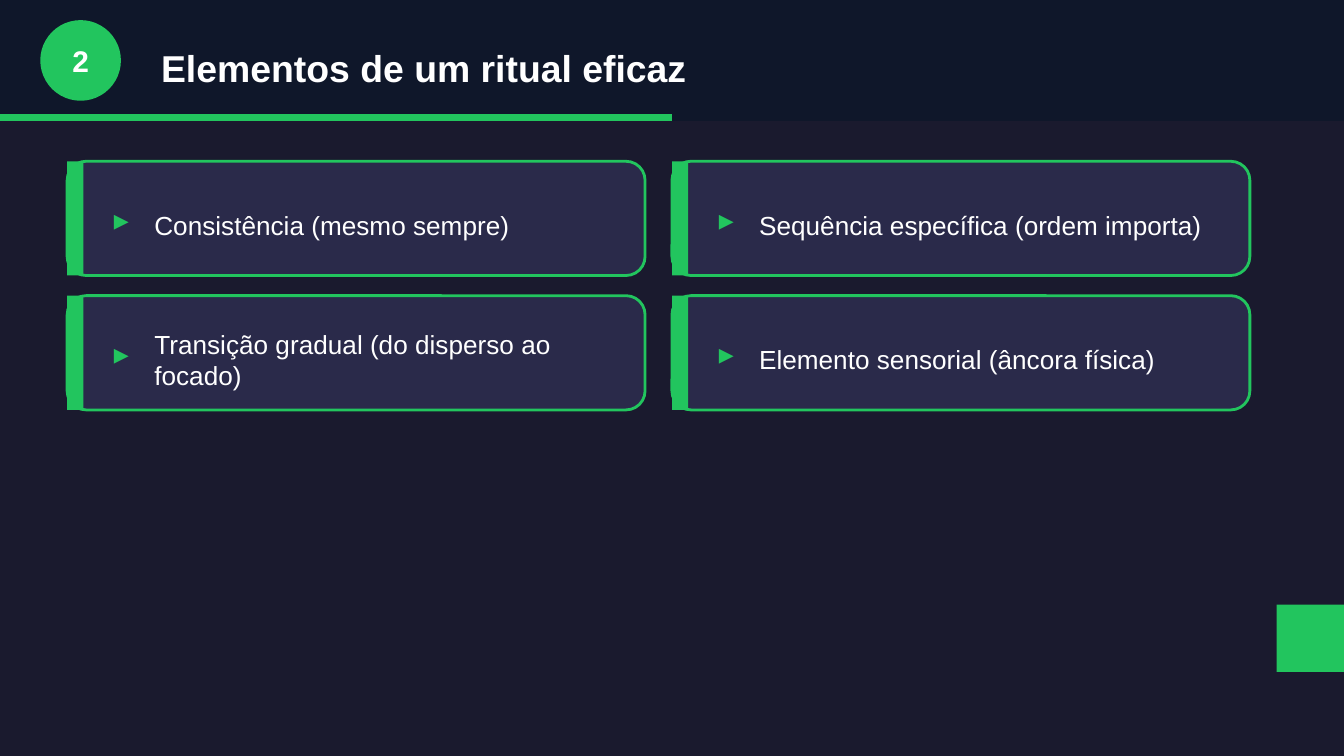
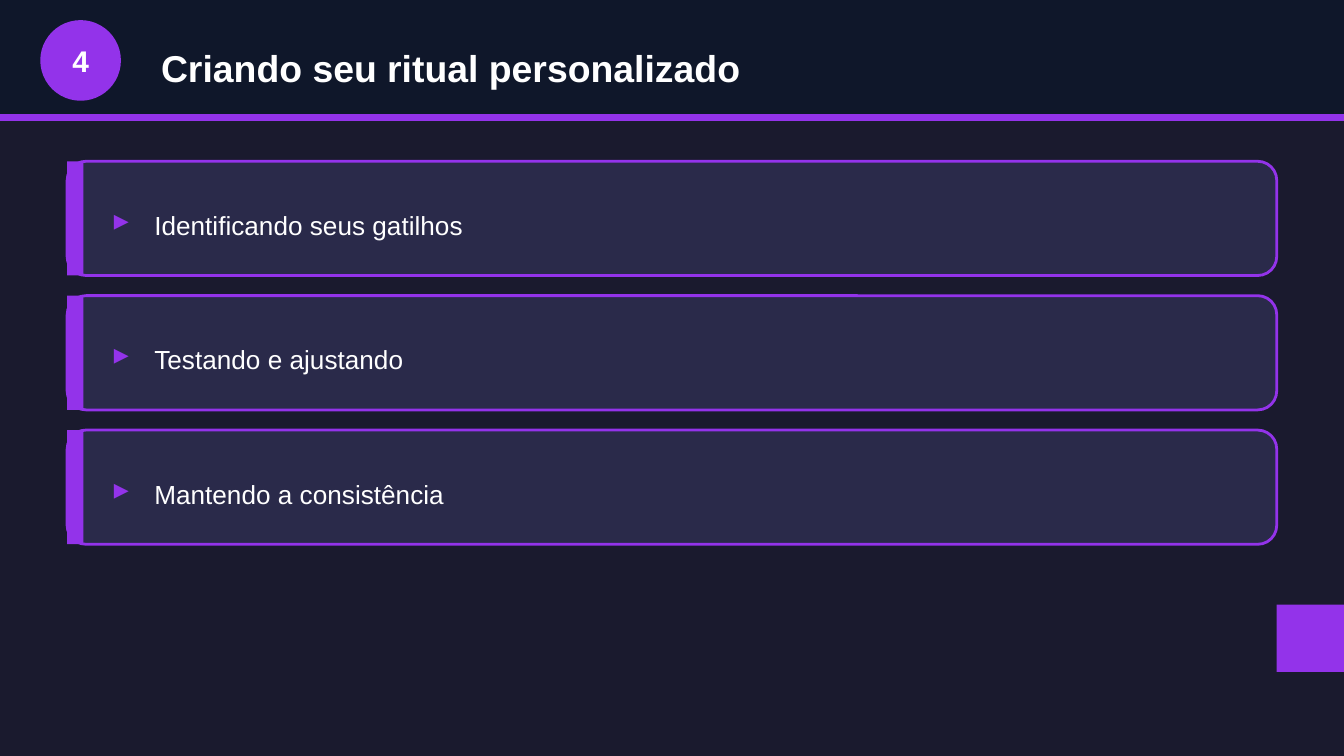
"""Build two dark lesson pages with a numbered header and a grid of topic cards."""
from dataclasses import dataclass

from pptx import Presentation, util as u
from pptx.dml import color
from pptx.enum import shapes, text
from pptx.slide import Slide

COLORS = {
    "page": "1A1A2E",
    "header": "0F172A",
    "card": "2A2A4A",
    "text": "FFFFFF",
    "green": "22C55E",
    "purple": "9333EA",
}
FORMATS = {
    "title": {"name": "Arial", "size": u.Pt(20), "bold": True},
    "marker": {"name": "Arial", "size": u.Pt(16), "bold": True},
    "topic": {"name": "Arial", "size": u.Pt(14), "bold": False},
}
KINDS = shapes.MSO_SHAPE
PAGE_WIDTH = 10
PAGE_HEIGHT = PAGE_WIDTH * 9 / 16
LESSON_COUNT = 4
CARD_LEFT, CARD_TOP, CARD_HEIGHT = 0.5, 1.2, 0.85
COLUMN_STEP, ROW_STEP = 4.5, 1


@dataclass(frozen=True)
class Area:
    left: float
    top: float
    width: float
    height: float

    def lengths(self) -> list[u.Length]:
        return [u.Inches(side) for side in (self.left, self.top, self.width, self.height)]


@dataclass(frozen=True)
class Lesson:
    number: int
    title: str
    accent: str
    columns: int
    card_width: float
    topics: tuple[str, ...]


LESSONS = (
    Lesson(2, "Elementos de um ritual eficaz", "green", 2, 4.3, (
        "Consistência (mesmo sempre)",
        "Sequência específica (ordem importa)",
        "Transição gradual (do disperso ao focado)",
        "Elemento sensorial (âncora física)",
    )),
    Lesson(4, "Criando seu ritual personalizado", "purple", 1, 9, (
        "Identificando seus gatilhos",
        "Testando e ajustando",
        "Mantendo a consistência",
    )),
)


def rgb(name: str) -> color.RGBColor:
    return color.RGBColor.from_string(COLORS[name])


def add_block(page: Slide, area: Area, fill: str, kind: KINDS = KINDS.RECTANGLE,
              outline: str | None = None) -> None:
    block = page.shapes.add_shape(kind, *area.lengths())
    block.shadow.inherit = False
    block.fill.solid()
    block.fill.fore_color.rgb = rgb(fill)
    if outline:
        block.line.color.rgb = rgb(outline)
        block.line.width = u.Pt(1.5)
    else:
        block.line.fill.background()


def add_label(page: Slide, area: Area, words: str, style: str, ink: str = "text",
              align: text.PP_ALIGN = text.PP_ALIGN.LEFT) -> None:
    box = page.shapes.add_textbox(*area.lengths())
    frame = box.text_frame
    frame.word_wrap = True
    frame.vertical_anchor = text.MSO_ANCHOR.MIDDLE
    para = frame.paragraphs[0]
    para.alignment = align
    span = para.add_run()
    span.text = words
    for attribute, value in FORMATS[style].items():
        setattr(span.font, attribute, value)
    span.font.color.rgb = rgb(ink)


def add_header(page: Slide, lesson: Lesson) -> None:
    progress = PAGE_WIDTH * lesson.number / LESSON_COUNT
    add_block(page, Area(0, 0, PAGE_WIDTH, 0.9), "header")
    add_block(page, Area(0, 0.85, progress, 0.05), lesson.accent)
    add_block(page, Area(0.3, 0.15, 0.6, 0.6), lesson.accent, KINDS.OVAL)
    add_label(page, Area(0.3, 0.25, 0.6, 0.4), str(lesson.number), "marker",
              align=text.PP_ALIGN.CENTER)
    add_label(page, Area(1.1, 0.25, 8.5, 0.5), lesson.title, "title")


def add_card(page: Slide, area: Area, topic: str, accent: str) -> None:
    left, top = area.left, area.top
    add_block(page, area, "card", KINDS.ROUNDED_RECTANGLE, accent)
    add_block(page, Area(left, top, 0.12, area.height), accent)
    add_label(page, Area(left + 0.25, top + 0.25, 0.3, 0.35), "▸", "marker", accent)
    add_label(page, Area(left + 0.55, top + 0.25, area.width - 0.8, 0.45), topic, "topic")


def add_lesson(deck: Presentation, lesson: Lesson) -> None:
    page = deck.slides.add_slide(deck.slide_layouts[6])
    page.background.fill.solid()
    page.background.fill.fore_color.rgb = rgb("page")
    add_header(page, lesson)
    for index, topic in enumerate(lesson.topics):
        row, column = divmod(index, lesson.columns)
        area = Area(CARD_LEFT + column * COLUMN_STEP, CARD_TOP + row * ROW_STEP,
                    lesson.card_width, CARD_HEIGHT)
        add_card(page, area, topic, lesson.accent)
    add_block(page, Area(9.5, 4.5, 0.5, 0.5), lesson.accent)


def main() -> None:
    deck = Presentation()
    deck.slide_width = u.Inches(PAGE_WIDTH)
    deck.slide_height = u.Inches(PAGE_HEIGHT)
    for lesson in LESSONS:
        add_lesson(deck, lesson)
    deck.save("out.pptx")


if __name__ == "__main__":
    main()
